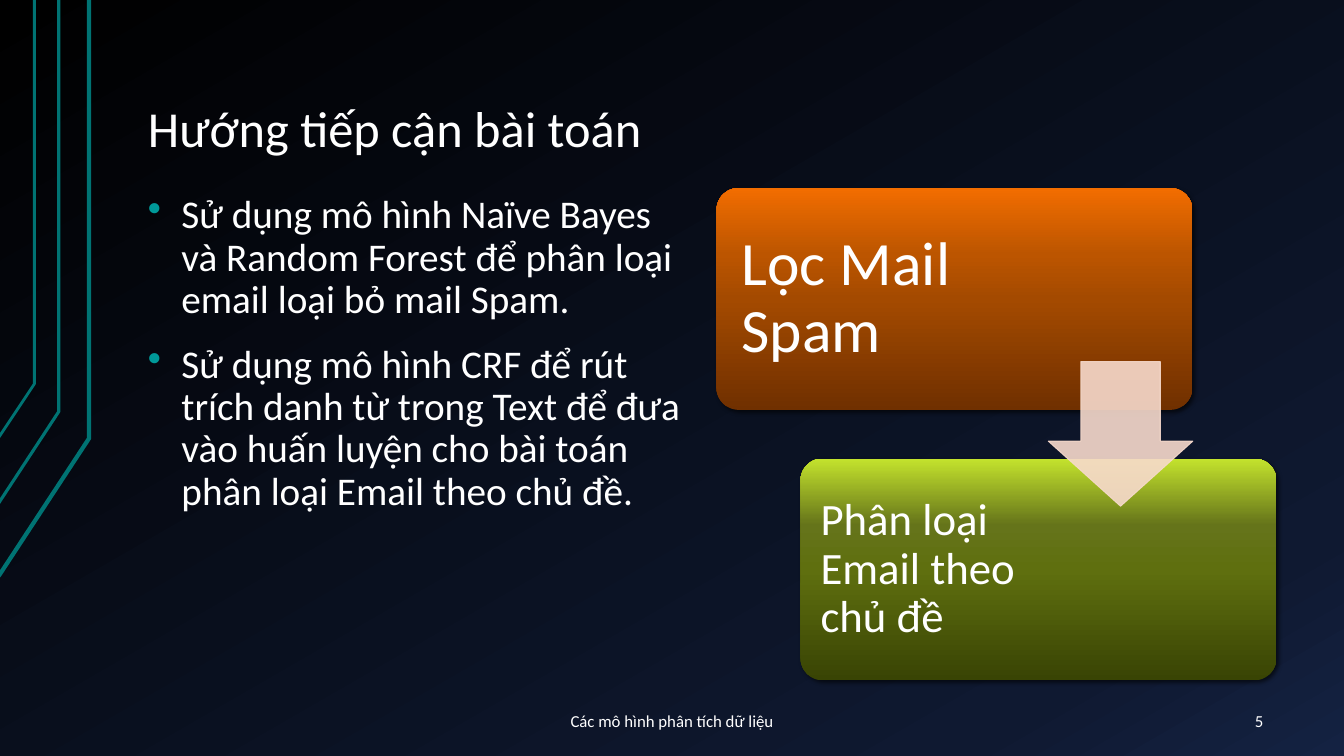
"""Build a dark slide with two bullets and a two-step mail flow."""
from lxml.etree import SubElement
from pptx import Presentation
from pptx.dml.color import RGBColor
from pptx.enum.shapes import MSO_SHAPE
from pptx.enum.text import MSO_ANCHOR, PP_ALIGN
from pptx.oxml.ns import qn
from pptx.util import Inches, Pt

COLS, ROWS = 80, 45
UNIT = Inches(7.5) / ROWS
WHITE, TEAL, BLUSH = "FFFFFF", "007373", "F7DACC"

deck = Presentation()
deck.slide_width, deck.slide_height = round(COLS * UNIT), round(ROWS * UNIT)
slide = deck.slides.add_slide(deck.slide_layouts[6])
shapes = slide.shapes


def paint(fill, *stops, root=None, turn=0):
    """Fill with one hex colour, or with (percent, hex) gradient stops."""
    if root is None:
        fill.solid()
        fill.fore_color.rgb = RGBColor.from_string(stops[0])
        return
    fill.gradient()
    fill.gradient_angle = turn
    ramp = root.find(".//" + qn("a:gsLst"))
    for old in list(ramp):
        ramp.remove(old)
    for share, tint in stops:
        stop = SubElement(ramp, qn("a:gs"), pos=str(share * 1000))
        SubElement(stop, qn("a:srgbClr"), val=tint)


def write(text, box, size, pad=(0.8, 0.4), anchor=MSO_ANCHOR.MIDDLE,
          align=PP_ALIGN.LEFT, lead=0.9, gap=0, bullet=None):
    """Place text, one paragraph a line, in a box given in grid units."""
    frame = shapes.add_textbox(*[round(n * UNIT) for n in box]).text_frame
    frame.word_wrap = True
    frame.vertical_anchor = anchor
    frame.margin_left = frame.margin_right = round(pad[0] * UNIT)
    frame.margin_top = frame.margin_bottom = round(pad[1] * UNIT)
    frame.text = text
    for para in frame.paragraphs:
        para.alignment, para.line_spacing = align, lead
        para.space_before = Pt(gap)
        font = para.runs[0].font
        font.name, font.size = "Calibri", Pt(size)
        paint(font.fill, WHITE)
        if bullet:
            props = para._p.get_or_add_pPr()
            props.set("marL", str(round(2 * UNIT)))
            props.set("indent", str(round(-2 * UNIT)))
            SubElement(SubElement(props, qn("a:buClr")), qn("a:srgbClr"), val=bullet)
            SubElement(props, qn("a:buChar"), char="•")


paint(slide.background.fill, (0, "000000"), (85, "0F1931"), (100, "142242"),
      root=slide.element, turn=300)

for right, bend, foot, width in [(5.3, 26.1, 34.3, 3), (3.5, 24.5, 29.95, 2.25),
                                 (2.05, 22.85, 26.05, 2)]:
    pen = shapes.build_freeform(round(-0.08 * UNIT), round(foot * UNIT))
    pen.add_line_segments([(round(right * UNIT), round(bend * UNIT)),
                           (round(right * UNIT), 0)], close=False)
    stripe = pen.convert_to_shape()
    stripe.shadow.inherit = False
    stripe.fill.background()
    paint(stripe.line.fill, TEAL)
    stripe.line.width = Pt(width)

write("Hướng tiếp cận bài toán", (8, 1.8, 68, 8.05), 36, anchor=MSO_ANCHOR.BOTTOM)
write("Sử dụng mô hình Naïve Bayes và Random Forest để phân loại email loại bỏ mail Spam.\n"
      "Sử dụng mô hình CRF để rút trích danh từ trong Text để đưa vào huấn luyện "
      "cho bài toán phân loại Email theo chủ đề.",
      (8, 11.2, 33.3, 29.3), 28, anchor=MSO_ANCHOR.TOP, gap=16, bullet="009999")

steps = [
    ("Lọc Mail Spam", 42.65, 11.2, 14.7, 44, 1.1,
     ("703000", "A44A00", "BC5500", "F26D00")),
    ("Phân loại Email theo chủ đề", 47.65, 27.3, 14, 32, 0.8,
     ("394404", "5F6F0F", "65741A", "C4E32D")),
]
for text, left, top, wide, size, pad, tints in steps:
    box = [round(n * UNIT) for n in (left, top, 28.33, 13.2)]
    card = shapes.add_shape(MSO_SHAPE.ROUNDED_RECTANGLE, *box)
    card.adjustments[0] = 0.1
    card.line.fill.background()
    paint(card.fill, *zip((0, 50, 70, 100), tints), root=card.element, turn=90)
    card.shadow.inherit = False
    shade = SubElement(card.element.find(".//" + qn("a:effectLst")), qn("a:outerShdw"),
                       blurRad=str(Pt(3)), dist=str(Pt(2)), dir=str(45 * 60000),
                       algn="ctr", rotWithShape="0")
    tone = SubElement(shade, qn("a:srgbClr"), val="000000")
    SubElement(tone, qn("a:alpha"), val="60000")
    write(text, (left + 0.39, top + 0.39, wide, 12.42), size, pad=(pad, pad))

arrow = shapes.add_shape(MSO_SHAPE.DOWN_ARROW,
                         *[round(n * UNIT) for n in (62.4, 21.53, 8.6, 8.6)])
arrow.adjustments[0], arrow.adjustments[1] = 0.55, 0.45
arrow.shadow.inherit = False
arrow.line.width = Pt(0.75)
for fill in (arrow.fill, arrow.line.fill):
    paint(fill, BLUSH)
for tone in arrow.element.iter(qn("a:srgbClr")):
    SubElement(tone, qn("a:alpha"), val="90000")

write("Các mô hình phân tích dữ liệu", (22.67, 41.7, 34.67, 2.4), 12,
      align=PP_ALIGN.CENTER, lead=1.0)
write("5", (69.33, 41.7, 6.67, 2.4), 12, align=PP_ALIGN.RIGHT, lead=1.0)

deck.save("out.pptx")
